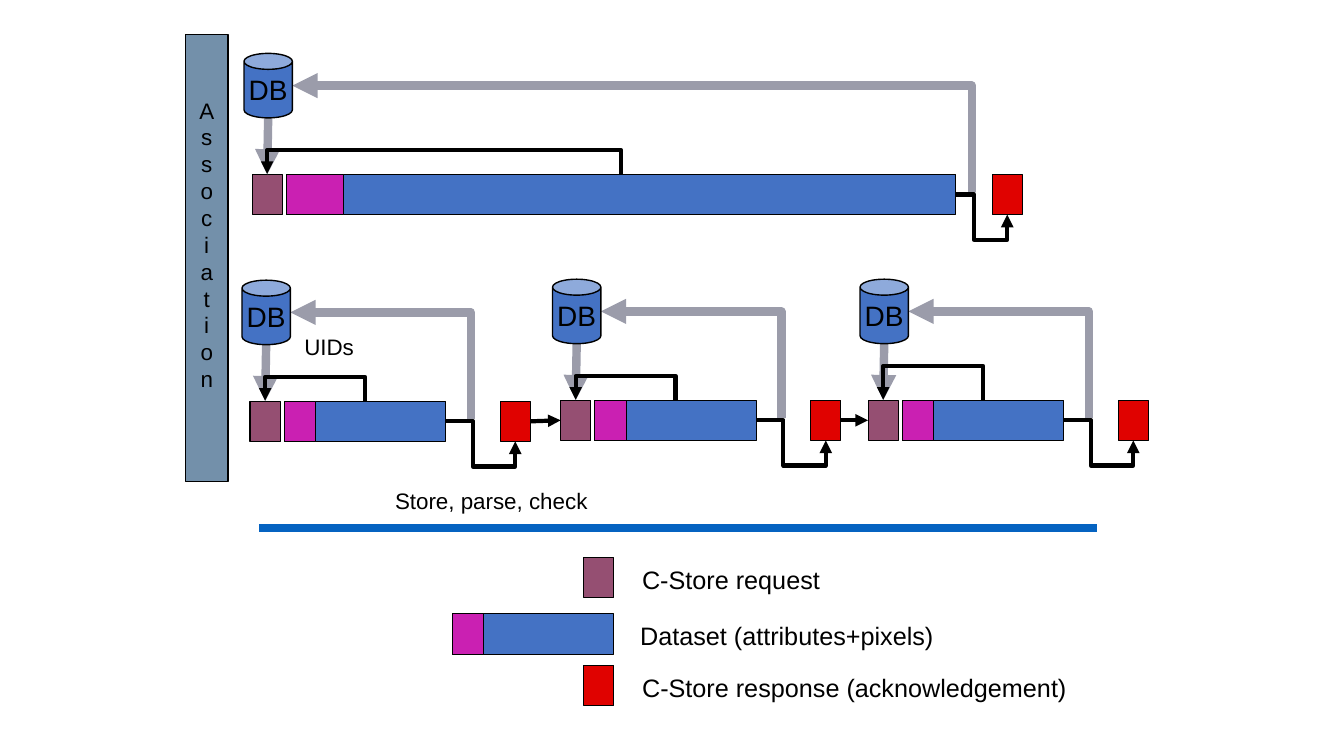
from pptx import Presentation
from pptx.dml.color import RGBColor
from pptx.enum.shapes import MSO_CONNECTOR as CONN, MSO_SHAPE as SHAPE
from pptx.enum.text import MSO_ANCHOR, MSO_AUTO_SIZE, PP_ALIGN
from pptx.oxml.ns import qn
from pptx.util import Inches, Pt
from lxml import etree

BLACK, GREY, RULE = "000000", "9B9CAA", "0563C1"
REQUEST, RESPONSE = "954F72", "E00200"
PIXELS, ATTRIBUTES, ASSOCIATION = "4472C4", "CA20B2", "7390AA"
BLOCK_W, BLOCK_H = 0.3, 0.4


def rgb(value):
    return RGBColor.from_string(value)


def write(tf, text, size=18, color=BLACK, font="Arial", align=PP_ALIGN.LEFT,
          anchor=MSO_ANCHOR.TOP, wrap=False):
    """Fill a text frame with one formatted paragraph."""
    tf.word_wrap = wrap
    tf.vertical_anchor = anchor
    p = tf.paragraphs[0]
    p.text = text
    p.alignment = align
    for r in p.runs:
        r.font.size, r.font.name = Pt(size), font
        r.font.color.rgb = rgb(color)


class Diagram:
    """Holds the style and the current slide."""

    def __init__(self, slide):
        self.shapes = slide.shapes

    def box(self, x, y, w, h, fill, kind=SHAPE.RECTANGLE, line=0.75):
        s = self.shapes.add_shape(kind, *map(Inches, (x, y, w, h)))
        s.shadow.inherit = False
        s.fill.solid()
        s.fill.fore_color.rgb = rgb(fill)
        s.line.color.rgb = rgb(BLACK)
        s.line.width = Pt(line)
        return s

    def block(self, x, y, fill):
        return self.box(x, y, BLOCK_W, BLOCK_H, fill)

    def dataset(self, x, y, w, attributes_w):
        self.box(x, y, w, BLOCK_H, PIXELS)
        self.box(x, y, attributes_w, BLOCK_H, ATTRIBUTES)

    def database(self, x, y):
        s = self.box(x, y, 0.48, 0.64, PIXELS, SHAPE.CAN, 1)
        s.adjustments[0] = 0.33
        write(s.text_frame, "DB", 20, align=PP_ALIGN.CENTER, anchor=MSO_ANCHOR.MIDDLE)

    def label(self, x, y, w, h, text, size, wrap=False):
        tf = self.shapes.add_textbox(*map(Inches, (x, y, w, h))).text_frame
        write(tf, text, size, wrap=wrap)
        tf.auto_size = MSO_AUTO_SIZE.SHAPE_TO_FIT_TEXT

    def line(self, start, end, color=BLACK, width=3, arrow=True, kind=CONN.STRAIGHT):
        c = self.shapes.add_connector(kind, *map(Inches, (*start, *end)))
        c.line.color.rgb = rgb(color)
        c.line.width = Pt(width)
        if arrow:
            etree.SubElement(c.line._get_or_add_ln(), qn("a:tailEnd"), type="triangle")
        etree.SubElement(c._element.spPr, qn("a:effectLst"))
        return c

    def elbow(self, start, end, bends, rotation=0, **style):
        """Draw a bent arrow; bends are fractions of its width and height."""
        c = self.line(start, end, kind=CONN.ELBOW, **style)
        geom = c._element.spPr.find(qn("a:prstGeom"))
        geom.set("prst", f"bentConnector{len(bends) + 2}")
        guides = geom.find(qn("a:avLst"))
        if guides is None:
            guides = etree.SubElement(geom, qn("a:avLst"))
        for i, bend in enumerate(bends, 1):
            etree.SubElement(guides, qn("a:gd"), name=f"adj{i}",
                             fmla=f"val {round(bend * 100000)}")
        if rotation:
            c._element.spPr.find(qn("a:xfrm")).set("rot", str(rotation * 60000))

    def transfer(self, x, y, data_w=1.6, attributes_w=0.31, turn=0.27, lift=0.25):
        """Draw one store cycle and return its request and response blocks."""
        data_x, mid = x + 0.34, x + BLOCK_W / 2
        data_end = data_x + data_w
        response_x = data_end + 2 * turn

        back = (data_end + turn, y + 0.18), (x + 0.4, y - 0.88)
        self.elbow(*back, [0.02 / (back[0][0] - back[1][0])], color=GREY, width=6)
        request = self.block(x, y, REQUEST)
        response = self.block(response_x, y, RESPONSE)
        feed = self.line((mid + 0.01, y - 0.56), (mid, y), GREY, 6)
        feed.end_connect(request, 0)

        hook_w = 2 * turn + BLOCK_W / 2
        self.elbow((data_end, y + 0.2), (data_end + hook_w, y + BLOCK_H),
                   [turn / hook_w, 2.24])

        # The loop lies on its side: a thin frame turned by 90 degrees.
        thin, span = 0.01, data_x + data_w / 2 - mid
        centre = mid + span / 2
        self.elbow((centre + thin / 2, y - span / 2), (centre - thin / 2, y + span / 2),
                   [lift / thin], rotation=90)

        self.database(x - 0.08, y - 1.2)
        self.dataset(data_x, y, data_w, attributes_w)
        return request, response


def main():
    prs = Presentation()
    prs.slide_width, prs.slide_height = Inches(13.33), Inches(7.5)
    d = Diagram(prs.slides.add_slide(prs.slide_layouts[6]))

    tf = d.box(1.84, 0.34, 0.42, 4.44, ASSOCIATION, line=1).text_frame
    write(tf, "\v".join("Association"), 16, align=PP_ALIGN.CENTER, anchor=MSO_ANCHOR.MIDDLE)
    tf.margin_bottom = Inches(0.32)

    d.transfer(2.5, 1.73, data_w=6.64, attributes_w=0.57, turn=0.18)
    cycles = [d.transfer(2.48, 3.98), d.transfer(5.56, 3.97),
              d.transfer(8.61, 3.97, lift=0.35)]
    for (_, response), (request, _) in zip(cycles, cycles[1:]):
        c = d.line((0, 0), (1, 1))
        c.begin_connect(response, 3)
        c.end_connect(request, 1)

    d.label(2.92, 3.26, 0.69, 0.37, "UIDs", 16)
    d.label(3.82, 4.78, 2.22, 0.37, "Store, parse, check", 16, wrap=True)
    d.line((2.57, 5.24), (10.88, 5.24), RULE, 6, arrow=False)

    d.block(5.79, 5.53, REQUEST)
    d.dataset(4.49, 6.09, 1.6, 0.31)
    d.block(5.79, 6.6, RESPONSE)
    d.label(6.27, 5.55, 1.97, 0.4, "C-Store request", 18)
    d.label(6.25, 6.1, 3.11, 0.4, "Dataset (attributes+pixels)", 18)
    d.label(6.27, 6.62, 4.41, 0.4, "C-Store response (acknowledgement)", 18)
    prs.save("out.pptx")


if __name__ == "__main__":
    main()
